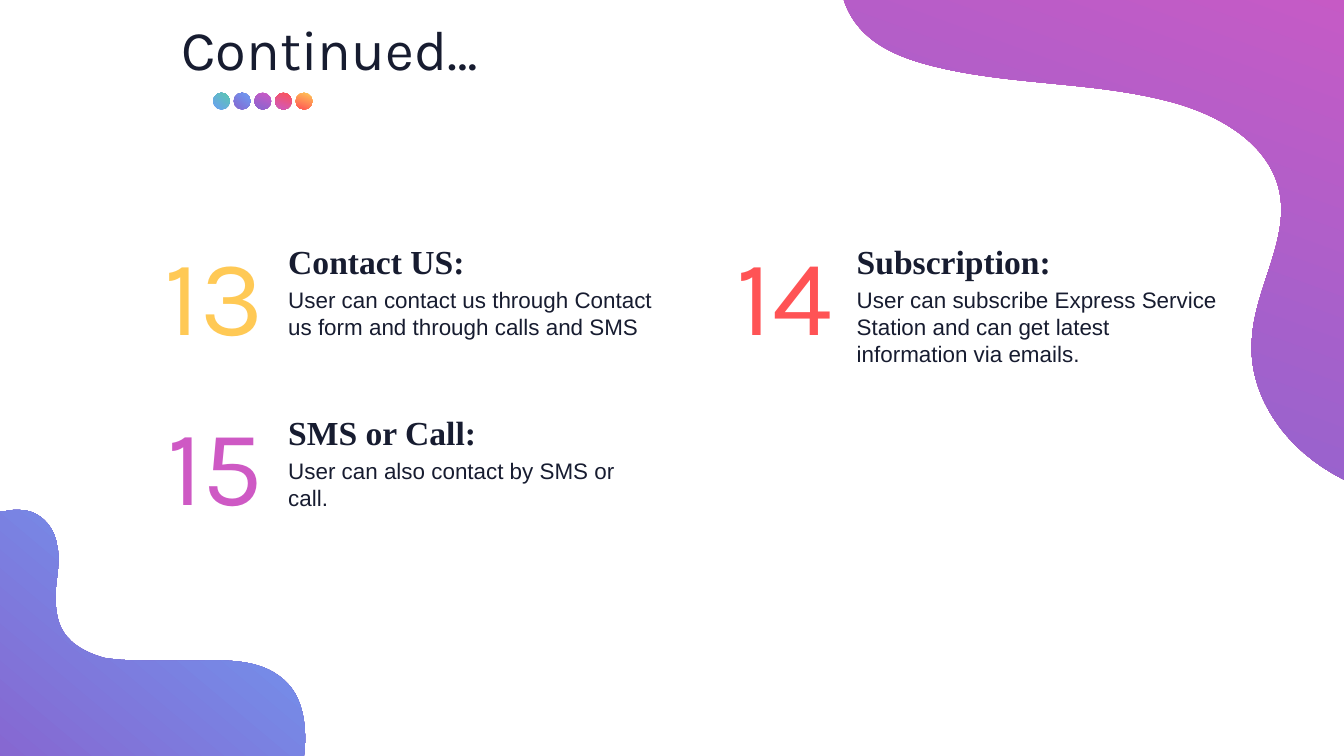
from pptx import Presentation
from pptx.dml.color import RGBColor as Rgb
from pptx.enum.shapes import MSO_SHAPE as Shape
from pptx.enum.text import MSO_ANCHOR as Anchor, MSO_AUTO_SIZE as Auto, PP_ALIGN as Align
from pptx.oxml.ns import qn
from pptx.util import Inches, Pt
from lxml.etree import SubElement

COLS, ROWS = 20, 11.25
CELL = Inches(1)
INK = Rgb(0x17, 0x1C, 0x30)
GREEN = Rgb(0x5B, 0xC9, 0xB0)
BLUE = Rgb(0x6C, 0x9F, 0xF4)
VIOLET = Rgb(0x87, 0x66, 0xD0)
PINK = Rgb(0xCE, 0x59, 0xC4)
RED = Rgb(0xFF, 0x53, 0x55)
GOLD = Rgb(0xFF, 0xC9, 0x55)
UP, DOWN = 50, 250

DOTS = [(BLUE, GREEN, UP), (VIOLET, BLUE, UP), (PINK, VIOLET, DOWN),
        (RED, PINK, DOWN), (GOLD, RED, DOWN)]
ITEMS = [
    (0, 0, "13", GOLD, RED, "Contact US:",
     "User can contact us through Contact us form and through calls and SMS"),
    (0, 1, "15", PINK, VIOLET, "SMS or Call:",
     "User can also contact by SMS or call."),
    (1, 0, "14", RED, PINK, "Subscription:",
     "User can subscribe Express Service Station and can get latest information via emails."),
]
WAVE = [(12.54, -0.83), (12.45, -0.44), (12.48, -0.02), (12.71, 0.31),
        (12.97, 0.69), (13.43, 0.87), (13.87, 0.98),
        (15.01, 1.27), (16.22, 1.21), (17.36, 1.5),
        (18.08, 1.68), (18.85, 2.09), (19.03, 2.81),
        (19.21, 3.54), (18.67, 4.28), (18.63, 5.05),
        (18.58, 5.72), (18.93, 6.35), (19.45, 6.78),
        (19.96, 7.2), (20.61, 7.43), (21.26, 7.5),
        (21.38, 7.51), (21.49, 7.51), (21.6, 7.51)]
HILL = [(4.46, 11.48), (4.53, 11.32), (4.54, 11.14), (4.54, 10.98),
        (4.54, 10.65), (4.46, 10.29), (4.18, 10.08),
        (3.87, 9.83), (3.43, 9.82), (3.02, 9.83),
        (2.78, 9.83), (2.53, 9.83), (2.29, 9.83),
        (2.04, 9.83), (1.8, 9.83), (1.55, 9.79),
        (1.31, 9.72), (1.08, 9.61), (0.95, 9.41),
        (0.83, 9.23), (0.82, 8.98), (0.83, 8.77),
        (0.85, 8.54), (0.9, 8.33), (0.85, 8.12),
        (0.82, 7.89), (0.67, 7.68), (0.44, 7.61),
        (0.31, 7.58), (0.18, 7.58), (0.07, 7.61),
        (0.05, 7.61), (0.02, 7.61), (0, 7.61)]


def grid(*cells):
    """Turn grid cells into lengths."""
    return [int(cell * CELL) for cell in cells]


def blend(fill, start, end, angle):
    """Fill with a two-colour gradient."""
    fill.gradient()
    fill.gradient_angle = angle
    for stop, color in zip(fill.gradient_stops, (start, end)):
        stop.color.rgb = color


def paint(shape, start, end, angle):
    """Give a shape a gradient without line or shadow."""
    blend(shape.fill, start, end, angle)
    shape.line.fill.background()
    shape.shadow.inherit = False


def bend(shape):
    """Turn each three lines of an outline into a cubic curve."""
    lines = list(shape._element.iter(qn("a:lnTo")))
    for i in range(0, len(lines) - 2, 3):
        trio = lines[i:i + 3]
        outline = trio[0].getparent()
        curve = SubElement(outline, qn("a:cubicBezTo"))
        outline.replace(trio[0], curve)
        for line in trio:
            curve.append(line[0])
        for line in trio[1:]:
            outline.remove(line)


def add_blob(slide, knots, *look):
    """Draw a curved corner shape."""
    first, *rest = [grid(*knot) for knot in knots]
    corner = (rest[-1][0], first[1])
    pen = slide.shapes.build_freeform(*first)
    pen.add_line_segments(rest + [corner], close=True)
    blob = pen.convert_to_shape()
    bend(blob)
    paint(blob, *look)


def add_dots(slide):
    """Draw the row of dots under the title."""
    gap = 1.23 / (len(DOTS) - 1)
    for i, look in enumerate(DOTS):
        place = grid(3.17 + gap * i, 1.38, 0.25, 0.25)
        paint(slide.shapes.add_shape(Shape.OVAL, *place), *look)


def style(para, name, size, bold=False):
    """Set the font of a paragraph."""
    font = para.font
    font.name, font.size, font.bold = name, Pt(size), bold
    font.color.rgb = INK


def add_title(slide, text):
    """Place and format the title."""
    title = slide.shapes.title
    title.left, title.top, title.width, title.height = grid(2.6, 0.22, 14.79, 1.12)
    frame = title.text_frame
    frame.text = text
    frame.auto_size = Auto.NONE
    frame.vertical_anchor = Anchor.MIDDLE
    para = frame.paragraphs[0]
    para.alignment, para.line_spacing = Align.LEFT, 0.9
    style(para, "Karla", 60)


def add_text(slide, place, text, *look):
    """Add a wrapped text box and return its paragraph."""
    frame = slide.shapes.add_textbox(*grid(*place)).text_frame
    frame.word_wrap = True
    frame.auto_size = Auto.SHAPE_TO_FIT_TEXT
    para = frame.paragraphs[0]
    para.text = text
    style(para, *look)
    return para


def add_item(slide, col, row, number, start, end, head, body):
    """Add a numbered heading with its text."""
    x, y = 1.73 + 8.46 * col, 3.34 + 2.54 * row
    para = add_text(slide, (x, y, 2.29, 2.04), number, "Karla", 115)
    para.alignment = Align.RIGHT
    blend(para.runs[0].font.fill, start, end, DOWN)
    add_text(slide, (x + 2.46, y + 0.2, 5.62, 0.71), head, "Times New Roman", 36, True)
    lines = 3 if len(body) > 70 else 2
    para = add_text(slide, (x + 2.46, y + 0.87, 5.62, 0.1 + 0.4 * lines), body, "Arial", 24)
    para.space_before = Pt(12)


def main():
    """Build and save the slide."""
    deck = Presentation()
    deck.slide_width, deck.slide_height = grid(COLS, ROWS)
    slide = deck.slides.add_slide(deck.slide_layouts[5])
    add_dots(slide)
    add_title(slide, "Continued…")
    for item in ITEMS:
        add_item(slide, *item)
    add_blob(slide, WAVE, PINK, VIOLET, DOWN)
    add_blob(slide, HILL, VIOLET, BLUE, UP)
    deck.save("out.pptx")


if __name__ == "__main__":
    main()
